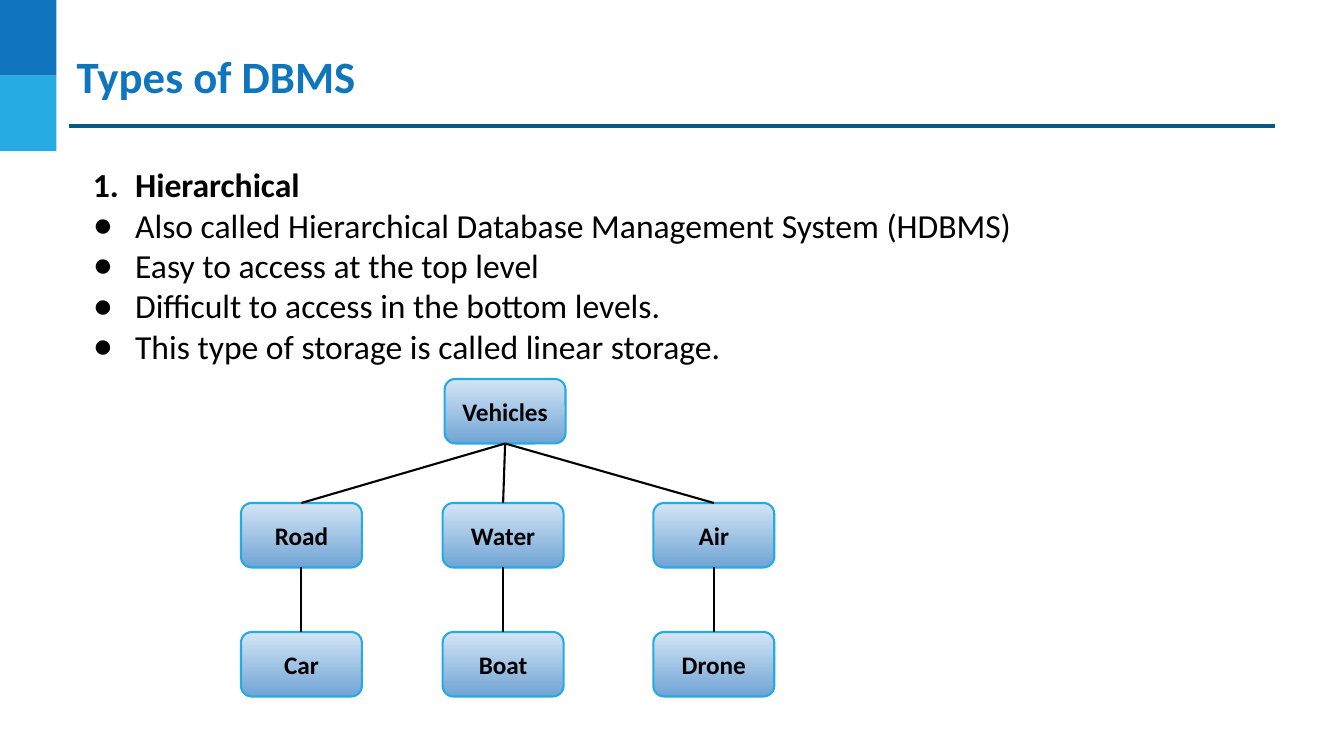
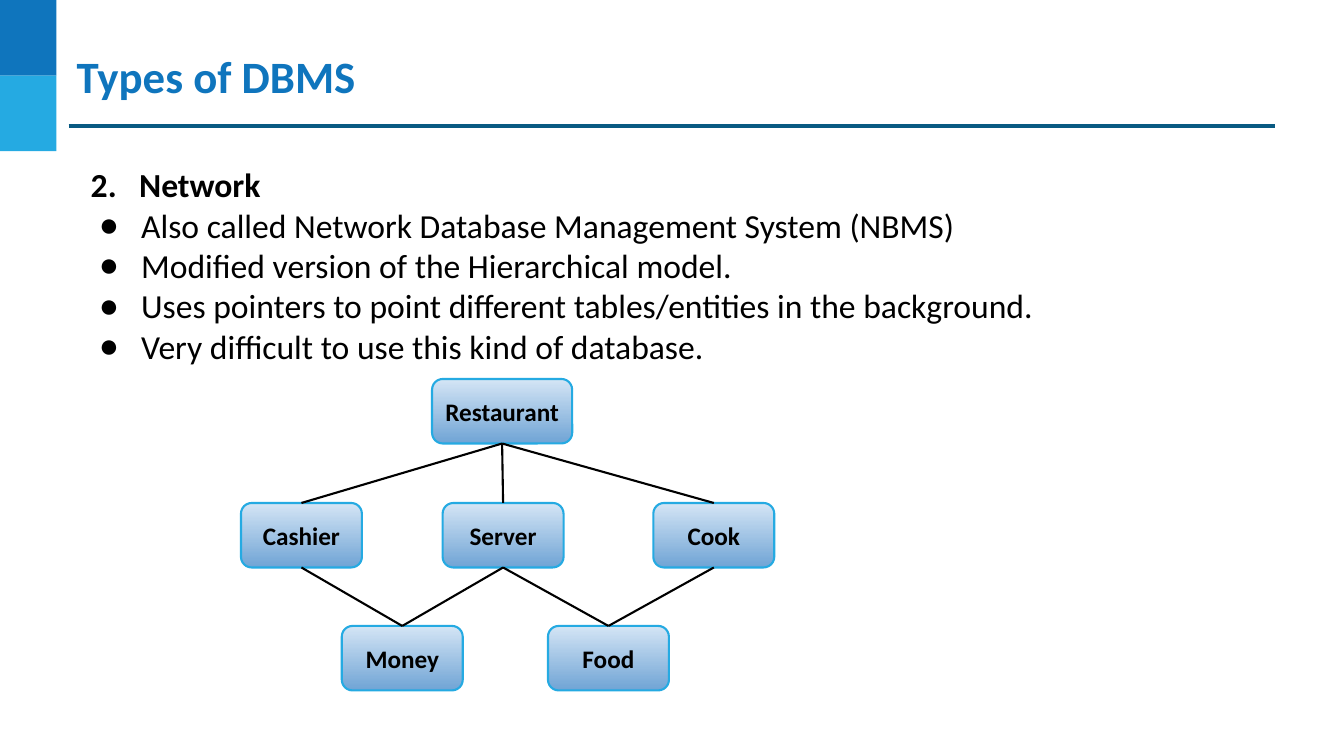
import lxml.etree
import pptx
import pptx.dml.color
import pptx.enum.shapes
import pptx.enum.text
import pptx.oxml.ns
import pptx.util

Inches = pptx.util.Inches
Pt = pptx.util.Pt
RGBColor = pptx.dml.color.RGBColor
SHAPE = pptx.enum.shapes.MSO_SHAPE
ANCHOR = pptx.enum.text.MSO_ANCHOR
ALIGN = pptx.enum.text.PP_ALIGN
qn = pptx.oxml.ns.qn

BLUE = RGBColor(0x0F, 0x75, 0xBD)
SKY = RGBColor(0x25, 0xAA, 0xE2)
RULE = RGBColor(0x09, 0x5A, 0x82)
BLACK = RGBColor(0x00, 0x00, 0x00)
NODE_TOP = RGBColor(0xD4, 0xE5, 0xF5)
NODE_BOTTOM = RGBColor(0x70, 0xA4, 0xD5)
FONT = "Calibri"

NODE_W, NODE_H = 1.2, 0.64
BRANCH_TOP = 1.23
BRANCH_CENTRES = (0.61, 2.61, 4.7)


def set_font(p, size, color, bold=False):
    """Set the font of a whole paragraph."""
    p.font.name = FONT
    p.font.size = Pt(size)
    p.font.bold = bold
    p.font.color.rgb = color


def set_frame(tf, inset, anchor):
    """Set the insets, anchor and wrapping of a text frame."""
    tf.margin_left = tf.margin_right = Inches(inset)
    tf.margin_top = tf.margin_bottom = Inches(inset)
    tf.vertical_anchor = anchor
    tf.word_wrap = True
    tf.auto_size = pptx.enum.text.MSO_AUTO_SIZE.NONE


def place(sp, left, top, width, height):
    """Move and size a shape, in inches."""
    sp.left, sp.top = Inches(left), Inches(top)
    sp.width, sp.height = Inches(width), Inches(height)


def add_line(s, color, width, start=(0, 0), end=(0, 0)):
    """Add a straight line without a shadow."""
    line = s.shapes.add_connector(
        pptx.enum.shapes.MSO_CONNECTOR.STRAIGHT,
        *(Inches(v) for v in (*start, *end)))
    line.line.color.rgb = color
    line.line.width = Pt(width)
    sp_pr = line._element.find(qn("p:spPr"))
    lxml.etree.SubElement(sp_pr, qn("a:effectLst"))
    return line


def add_header(s, title):
    """Add the corner bands, the title and the rule under it."""
    for i, color in enumerate((BLUE, SKY)):
        band = s.shapes.add_shape(SHAPE.RECTANGLE, 0, Inches(0.75 * i),
                                  Inches(0.56), Inches(0.75))
        band.shadow.inherit = False
        band.fill.solid()
        band.fill.fore_color.rgb = color
        band.line.fill.background()
    add_line(s, RULE, 2.25, (0.68, 1.25), (12.65, 1.25))
    sp = s.shapes.title
    place(sp, 0.74, 0.46, 11.97, 1.11)
    set_frame(sp.text_frame, 0.02, ANCHOR.TOP)
    p = sp.text_frame.paragraphs[0]
    p.text = title
    p.alignment = ALIGN.LEFT
    set_font(p, 32, BLUE, True)


def set_bullet(p, indent, hang, tag, **attributes):
    """Give a paragraph a hanging bullet or number."""
    p_pr = p._p.get_or_add_pPr()
    p_pr.set("marL", str(Inches(indent)))
    p_pr.set("indent", str(-Inches(hang)))
    lxml.etree.SubElement(p_pr, qn(tag), **attributes)


def add_points(s, left, number, heading, heading_indent, points):
    """Fill the body with a numbered heading and its bulleted points."""
    sp = s.placeholders[1]
    place(sp, left, 1.53, 11.63, 2.22)
    tf = sp.text_frame
    set_frame(tf, 0.1, ANCHOR.TOP)
    tf.text = "\n".join((heading, *points))
    for i, p in enumerate(tf.paragraphs):
        p.line_spacing = 1.0
        p.space_before = Pt(0)
        if i == 0:
            set_bullet(p, *heading_indent, "a:buAutoNum",
                       type="arabicPeriod", startAt=str(number))
        else:
            set_bullet(p, 0.5, 0.42, "a:buChar", char="●")
        set_font(p, 24, BLACK, i == 0)


def add_node(s, text, centre, top, width=NODE_W):
    """Add a rounded box centred on a given x."""
    sp = s.shapes.add_shape(SHAPE.ROUNDED_RECTANGLE,
                            Inches(centre - width / 2), Inches(top),
                            Inches(width), Inches(NODE_H))
    sp.shadow.inherit = False
    sp.fill.gradient()
    sp.fill.gradient_angle = 270
    for stop, color in zip(sp.fill.gradient_stops, (NODE_TOP, NODE_BOTTOM)):
        stop.color.rgb = color
    sp.line.color.rgb = SKY
    sp.line.width = Pt(1.5)
    set_frame(sp.text_frame, 0.1, ANCHOR.MIDDLE)
    p = sp.text_frame.paragraphs[0]
    p.text = text
    p.alignment = ALIGN.CENTER
    set_font(p, 18, BLACK, True)
    return sp


def link(s, parent, child):
    """Join the bottom of a parent to the top of its child."""
    line = add_line(s, BLACK, 1.5)
    line.begin_connect(parent, 2)
    line.end_connect(child, 0)


def add_tree(s, left, top, root, branches, leaves, leaf_top):
    """Draw a root, its branches, and leaves centred under their parents."""
    text, centre, width = root
    root_node = add_node(s, text, left + centre, top, width)
    branch_nodes = [add_node(s, name, left + x, top + BRANCH_TOP)
                    for name, x in zip(branches, BRANCH_CENTRES)]
    for node in branch_nodes:
        link(s, root_node, node)
    for name, parents in leaves:
        x = sum(BRANCH_CENTRES[i] for i in parents) / len(parents)
        leaf = add_node(s, name, left + x, top + leaf_top)
        for i in parents:
            link(s, branch_nodes[i], leaf)


def add_type_slide(prs, points, tree):
    """Add a slide on one type of DBMS with its example tree."""
    s = prs.slides.add_slide(prs.slide_layouts[1])
    add_header(s, "Types of DBMS")
    add_points(s, **points)
    add_tree(s, 2.38, 3.76, **tree)


def main():
    """Build and save the presentation."""
    prs = pptx.Presentation()
    prs.slide_width, prs.slide_height = Inches(13.33), Inches(7.5)
    add_type_slide(
        prs,
        dict(left=0.74, number=1, heading="Hierarchical",
             heading_indent=(0.5, 0.42),
             points=("Also called Hierarchical Database Management System (HDBMS)",
                     "Easy to access at the top level",
                     "Difficult to access in the bottom levels.",
                     "This type of storage is called linear storage.")),
        dict(root=("Vehicles", 2.63, NODE_W),
             branches=("Road", "Water", "Air"),
             leaves=(("Car", (0,)), ("Boat", (1,)), ("Drone", (2,))),
             leaf_top=2.51))
    add_type_slide(
        prs,
        dict(left=0.8, number=2, heading="Network",
             heading_indent=(0.48, 0.48),
             points=("Also called Network Database Management System (NBMS)",
                     "Modified version of the Hierarchical model.",
                     "Uses pointers to point different tables/entities in the background.",
                     "Very difficult to use this kind of database.")),
        dict(root=("Restaurant", 2.6, 1.39),
             branches=("Cashier", "Server", "Cook"),
             leaves=(("Money", (0, 1)), ("Food", (1, 2))),
             leaf_top=2.45))
    prs.save("out.pptx")


if __name__ == "__main__":
    main()
